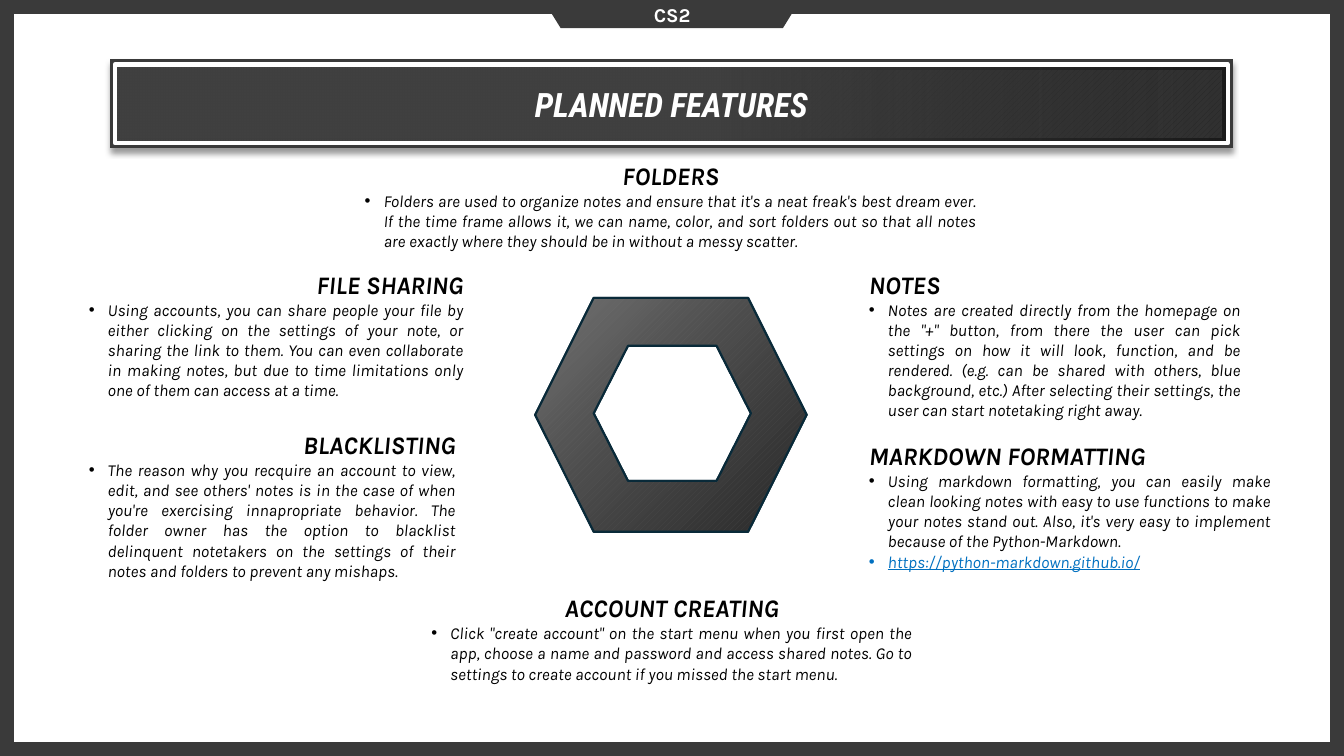
import pptx
import pptx.dml.color
import pptx.enum.dml
import pptx.enum.shapes
import pptx.enum.text
import pptx.util
from dataclasses import dataclass
from lxml import etree

Pt = pptx.util.Pt
Align = pptx.enum.text.PP_ALIGN
Preset = pptx.enum.shapes.MSO_SHAPE

COURSE = "CS2"
TITLE = "PLANNED FEATURES"
LINK = "https://python-markdown.github.io/"
SIDE_FEATURES = [
    ("FILE SHARING", Align.RIGHT, (56.2, 188.6, 282.2, 116.6), [
        "Using accounts, you can share people your file by either clicking on the settings of your note, "
        "or sharing the link to them. You can even collaborate in making notes, but due to time "
        "limitations only one of them can access at a time."]),
    ("BLACKLISTING", Align.RIGHT, (56.2, 303.1, 276.5, 116.6), [
        "The reason why you recquire an account to view, edit, and see others' notes is in the case of "
        "when you're exercising innapropriate behavior. The folder owner has the option to blacklist "
        "delinquent notetakers on the settings of their notes and folders to prevent any mishaps."]),
    ("NOTES", Align.LEFT, (613.4, 188.6, 280.1, 116.6), [
        "Notes are created directly from the homepage on the \"+\" button, from there the user can pick "
        "settings on how it will look, function, and be rendered. (e.g. can be shared with others, blue "
        "background, etc.) After selecting their settings, the user can start notetaking right away."]),
    ("MARKDOWN FORMATTING", Align.LEFT, (613.4, 311, 301.7, 101.5), [
        "Using markdown formatting, you can easily make clean looking notes with easy to use functions "
        "to make your notes stand out. Also, it's very easy to implement because of the Python-Markdown.",
        LINK]),
]
CENTRE_FEATURES = [
    ("FOLDERS", Align.CENTER, (253.4, 110.9, 451.4, 72.7), [
        "Folders are used to organize notes and ensure that it's a neat freak's best dream ever. If the "
        "time frame allows it, we can name, color, and sort folders out so that all notes are exactly "
        "where they should be in without a messy scatter."]),
    ("ACCOUNT CREATING", Align.CENTER, (301, 419.8, 357.8, 87.1), [
        "Click \"create account\" on the start menu when you first open the app, choose a name and "
        "password and access shared notes. Go to settings to create account if you missed the start menu."]),
]


@dataclass(frozen=True)
class Theme:
    body_face: str = "Karla"
    title_face: str = "Roboto Condensed"
    title_size: float = 24
    heading_size: float = 18
    course_size: float = 14
    body_size: float = 12
    ink: str = "000000"
    paper: str = "FFFFFF"
    frame: str = "3A3A3A"
    link: str = "0070C0"
    ring_line: str = "092A39"
    bar_stripes: tuple = ("595959", "808080")
    bar_stops: tuple = ((0.54, "404040"), (1, "0D0D0D"))
    bar_alpha: int = 68
    ring_stripes: tuple = ("747474", "3A3A3A")
    ring_stops: tuple = ((0, "747474"), (1, "262626"))
    ring_alpha: int = 70


theme = Theme()
SLIDE = (960, 540)
BAR = (82.1, 46.1, 794.9, 56.2)
RING_OUTER = (382.3, 212.8, 193.9, 167, 41.8)
RING_INNER = (424.1, 247, 112.3, 96.5, 24.5)
BULLET_INDENT = 13.5


def rgb(code):
    return pptx.dml.color.RGBColor.from_string(code)


def points(box):
    return [Pt(length) for length in box]


def add_xml(parent, tag, **attributes):
    return etree.SubElement(parent, pptx.oxml.ns.qn(tag), attributes)


def place(part, box):
    part.left, part.top, part.width, part.height = points(box)


def set_font(paragraph, face, size, color, bold=True, italic=True):
    font = paragraph.font
    font.name, font.size, font.bold, font.italic = face, Pt(size), bold, italic
    font.color.rgb = rgb(color)


def set_line(part, color, width):
    part.line.color.rgb = rgb(color)
    part.line.width = Pt(width)


def fill_stripes(part, colors):
    part.fill.patterned()
    part.fill.pattern = pptx.enum.dml.MSO_PATTERN.WIDE_UPWARD_DIAGONAL
    part.fill.fore_color.rgb, part.fill.back_color.rgb = map(rgb, colors)


def fill_gradient(part, stops, angle, end_alpha):
    part.fill.gradient()
    part.fill.gradient_angle = angle
    for stop, (position, color) in zip(part.fill.gradient_stops, stops):
        stop.position = position
        stop.color.rgb = rgb(color)
    end_color = part._element.spPr.findall(".//" + pptx.oxml.ns.qn("a:srgbClr"))[1]
    add_xml(end_color, "a:alpha", val=str(end_alpha * 1000))


def add_preset(slide, preset, box):
    part = slide.shapes.add_shape(preset, *points(box))
    part.shadow.inherit = False
    return part


def add_title_bar(slide):
    backing = add_preset(slide, Preset.PARALLELOGRAM, BAR)
    backing.adjustments[0] = 0
    fill_stripes(backing, theme.bar_stripes)
    set_line(backing, theme.frame, 7.5)
    add_xml(backing._element.spPr.find(pptx.oxml.ns.qn("a:ln")), "a:miter", lim="800000")
    effects = backing._element.spPr.find(pptx.oxml.ns.qn("a:effectLst"))
    shadow = add_xml(effects, "a:outerShdw", blurRad=str(Pt(4)), dist=str(Pt(3)), dir="5400000")
    add_xml(add_xml(shadow, "a:srgbClr", val=theme.ink), "a:alpha", val="40000")
    slide.shapes._spTree.insert(2, backing._element)

    title = slide.shapes.title
    place(title, BAR)
    fill_gradient(title, theme.bar_stops, 0, theme.bar_alpha)
    set_line(title, theme.paper, 3)
    title.text_frame.text = TITLE
    title.text_frame.vertical_anchor = pptx.enum.text.MSO_ANCHOR.MIDDLE
    heading = title.text_frame.paragraphs[0]
    heading.alignment = Align.CENTER
    set_font(heading, theme.title_face, theme.title_size, theme.paper)


def write_feature(part, heading, alignment, box, items):
    place(part, box)
    frame = part.text_frame
    frame.word_wrap = True
    frame.auto_size = pptx.enum.text.MSO_AUTO_SIZE.NONE
    frame.vertical_anchor = pptx.enum.text.MSO_ANCHOR.TOP
    frame.text = "\n".join([heading, *items])
    for index, paragraph in enumerate(frame.paragraphs):
        properties = paragraph._p.get_or_add_pPr()
        paragraph.space_before = Pt(0)
        if index == 0:
            properties.set("marL", "0")
            properties.set("indent", "0")
            add_xml(properties, "a:buNone")
            paragraph.alignment = alignment
            set_font(paragraph, theme.body_face, theme.heading_size, theme.ink)
            continue
        properties.set("marL", str(Pt(BULLET_INDENT)))
        properties.set("indent", str(-Pt(BULLET_INDENT)))
        add_xml(properties, "a:buFont", typeface="Arial")
        add_xml(properties, "a:buChar", char="•")
        paragraph.alignment = Align.JUSTIFY
        is_link = paragraph.text == LINK
        set_font(paragraph, theme.body_face, theme.body_size, theme.link if is_link else theme.ink, bold=False)
        paragraph.font.underline = is_link


def hexagon(left, top, width, height, inset):
    right, bottom, middle = left + width, top + height, top + height / 2
    corners = [(left + inset, top), (right - inset, top), (right, middle),
               (right - inset, bottom), (left + inset, bottom), (left, middle)]
    return [tuple(points(corner)) for corner in corners]


def add_ring(slide):
    outer, inner = hexagon(*RING_OUTER), hexagon(*RING_INNER)[::-1]
    builder = slide.shapes.build_freeform(*inner[0])
    builder.add_line_segments(inner[1:])
    builder.move_to(*outer[0])
    builder.add_line_segments(outer[1:])
    ring = builder.convert_to_shape()
    ring.shadow.inherit = False
    set_line(ring, theme.ring_line, 1.5)
    return ring


def add_frame(slide):
    border = add_preset(slide, Preset.RECTANGLE, (0, 0, *SLIDE))
    border.fill.background()
    set_line(border, theme.frame, 20)
    tab = add_preset(slide, Preset.TRAPEZOID, (375.1, -20.9, 209.5, 41))
    tab.rotation = 180
    tab.adjustments[0] = 0.62
    tab.fill.solid()
    tab.fill.fore_color.rgb = rgb(theme.frame)
    tab.line.fill.background()
    course = slide.shapes.add_textbox(*points((429.8, -1.4, 100.8, 24.5)))
    course.text_frame.word_wrap = False
    course.text_frame.text = COURSE
    label = course.text_frame.paragraphs[0]
    label.alignment = Align.CENTER
    set_font(label, theme.body_face, theme.course_size, theme.paper, italic=False)


def main():
    deck = pptx.Presentation()
    deck.slide_width, deck.slide_height = points(SLIDE)
    slide = deck.slides.add_slide(deck.slide_layouts.get_by_name("Comparison"))
    add_title_bar(slide)
    for slot, feature in enumerate(SIDE_FEATURES, start=1):
        write_feature(slide.placeholders[slot], *feature)
    for feature in CENTRE_FEATURES:
        write_feature(slide.shapes.add_textbox(*points(feature[2])), *feature)
    fill_stripes(add_ring(slide), theme.ring_stripes)
    fill_gradient(add_ring(slide), theme.ring_stops, 315, theme.ring_alpha)
    add_frame(slide)
    deck.save("out.pptx")


if __name__ == "__main__":
    main()
